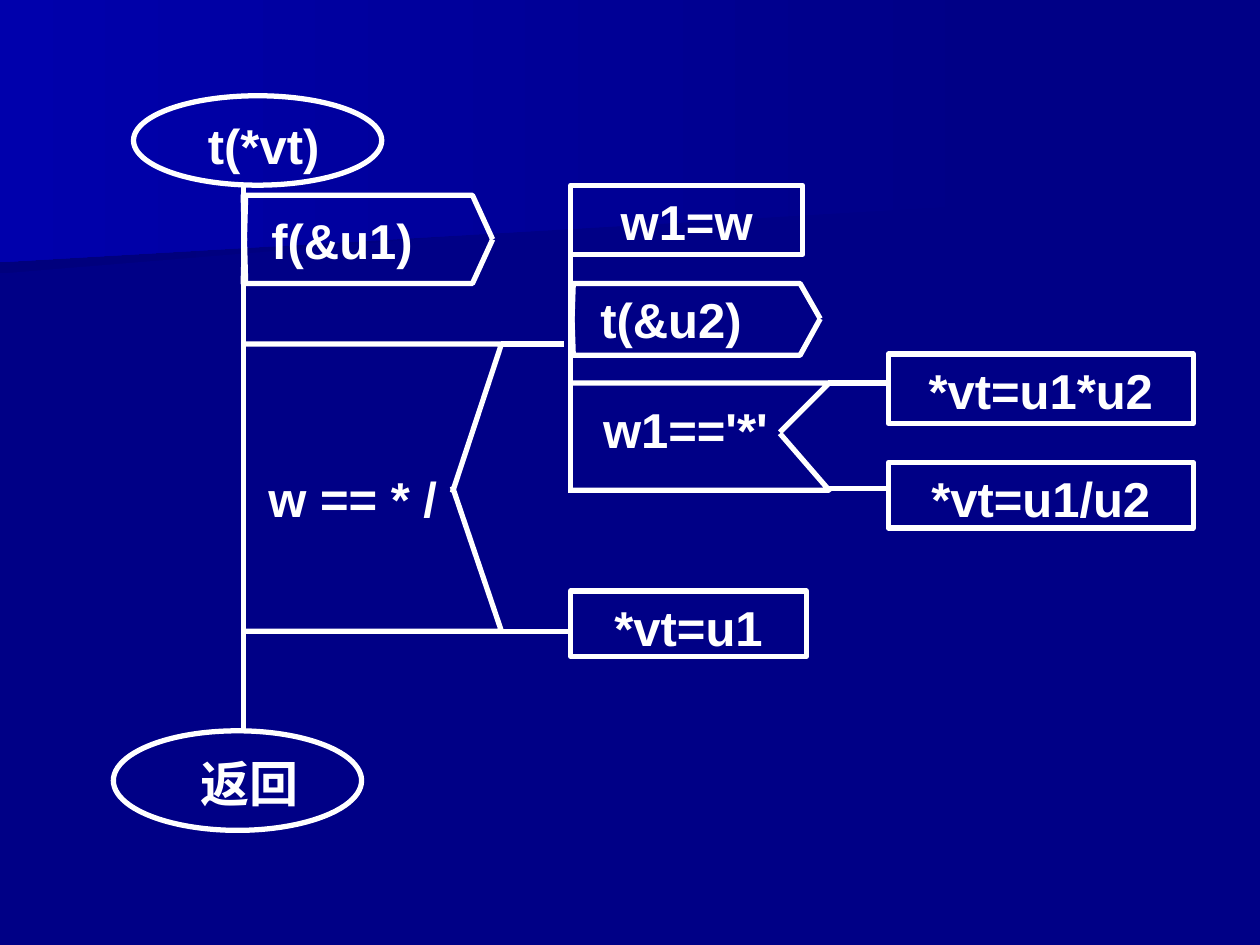
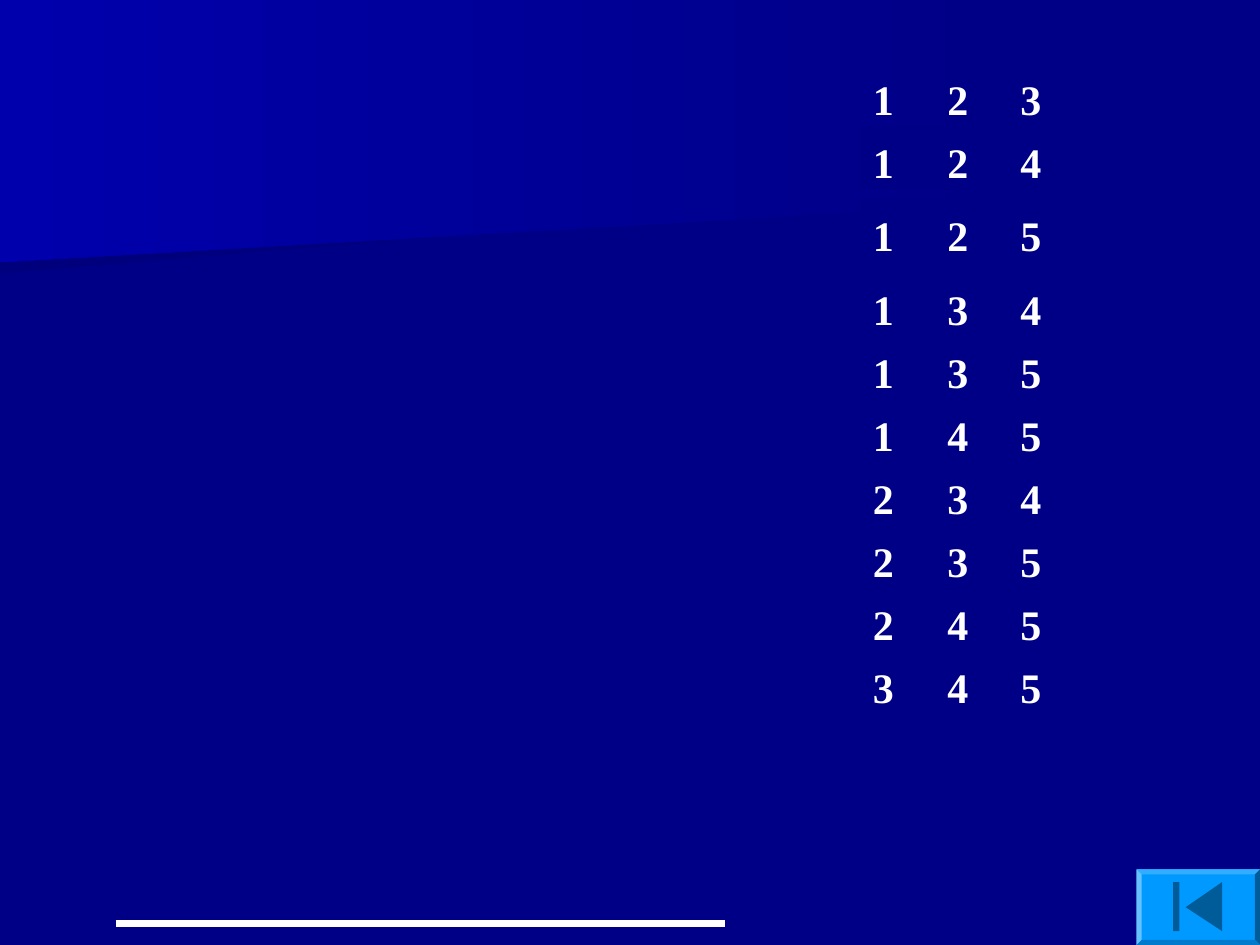
from dataclasses import dataclass
from itertools import combinations

from lxml import etree
from pptx import Presentation
from pptx import util as u
from pptx.dml.color import RGBColor
from pptx.enum import shapes, text
from pptx.oxml import ns

PX = 9144  # EMU per px, 100 px to the inch


@dataclass(frozen=True)
class Theme:
    back: str = "000086"
    shade: str = "00007D"
    glow: str = "0000AC"
    ink: str = "FFFFFF"
    face: str = "0099FF"
    top: str = "33ADFF"
    left: str = "66C2FF"
    dark: str = "005C99"
    base: str = "007ACC"
    code: str = "Arial"
    digit: str = "Times New Roman"
    big: int = 28
    mid: int = 24
    line: float = 3
    rule: float = 4


def rgb(code):
    return RGBColor.from_string(code)


def write(shape, words, font, size, color, align="LEFT", inset=(1, 1, 1, 1)):
    """Put bold text at the top of a shape; inset is left, top, right, bottom."""
    frame = shape.text_frame
    frame.word_wrap = True
    frame.vertical_anchor = text.MSO_ANCHOR.TOP
    (frame.margin_left, frame.margin_top,
     frame.margin_right, frame.margin_bottom) = (n * PX for n in inset)
    para = frame.paragraphs[0]
    para.alignment = getattr(text.PP_ALIGN, align)
    run = para.add_run()
    run.text = words
    run.font.name, run.font.size, run.font.bold = font, u.Pt(size), True
    run.font.color.rgb = rgb(color)


class Deck:
    def __init__(self, theme):
        self.look = theme
        self.prs = Presentation()
        self.prs.slide_width, self.prs.slide_height = 1000 * PX, 750 * PX
        self.slide = None

    def page(self):
        self.slide = self.prs.slides.add_slide(self.prs.slide_layouts[6])

    def paint(self, shape, fill=None, line=None):
        shape.shadow.inherit = False
        if fill:
            shape.fill.solid()
            shape.fill.fore_color.rgb = rgb(fill)
        else:
            shape.fill.background()
        if line:
            shape.line.color.rgb = rgb(line)
            shape.line.width = u.Pt(self.look.line)
        else:
            shape.line.fill.background()
        return shape

    def box(self, kind, at, **style):
        kind = getattr(shapes.MSO_SHAPE, kind)
        shape = self.slide.shapes.add_shape(kind, *(n * PX for n in at))
        return self.paint(shape, **style)

    def label(self, words, at, align="CENTER", pad=1):
        shape = self.slide.shapes.add_textbox(*(n * PX for n in at))
        self.code(shape, words, align, pad)

    def code(self, shape, words, align="CENTER", pad=1):
        look = self.look
        write(shape, words, look.code, look.big, look.ink, align, (pad, 5, 1, 1))

    def line(self, x1, y1, x2, y2, width=None):
        ends = (n * PX for n in (x1, y1, x2, y2))
        line = self.slide.shapes.add_connector(shapes.MSO_CONNECTOR.STRAIGHT, *ends)
        line.line.color.rgb = rgb(self.look.ink)
        line.line.width = u.Pt(width or self.look.line)
        etree.SubElement(line.element.spPr, ns.qn("a:effectLst"))

    def free(self, points, close=False, **style):
        pen = self.slide.shapes.build_freeform(*points[0], scale=PX)
        pen.add_line_segments(points[1:], close=close)
        return self.paint(pen.convert_to_shape(), **style)

    def ground(self):
        """Give the master its background and the two gradient bands."""
        look, master = self.look, self.prs.slide_master
        master.background.fill.solid()
        master.background.fill.fore_color.rgb = rgb(look.back)
        bands = (
            ([(778, 153), (0, 217), (0, 101), (779, 101), (778, 128)], look.shade),
            ([(792, 162), (0, 208), (0, 0), (792, 0)], look.glow),
        )
        for rank, (points, end) in enumerate(bands):
            band = self.free(points, close=True)
            band.fill.gradient()
            band.fill.gradient_angle = 180
            for stop, color in zip(band.fill.gradient_stops, (look.back, end)):
                stop.color.rgb = rgb(color)
            for stop, place in zip(band.fill.gradient_stops, (0, 1)):
                stop.position = place
            band.element.nvSpPr.cNvPr.set("id", str(50 + rank))
            master.shapes.element.insert(2 + rank, band.element)

    def fork(self, left, *halves):
        """Draw a branch box; each half is its edge and the notch height."""
        for edge, notch in halves:
            points = [(left, edge), (left + 205, edge), (left + 166, notch)]
            self.free(points, line=self.look.ink)

    def flag(self, left, top, bottom):
        """Draw a call box with its point to the right."""
        tip = (top + bottom) // 2
        for edge, end in ((top, bottom), (bottom, top)):
            points = [(left + 2, end), (left, edge),
                      (left + 182, edge), (left + 198, tip)]
            self.free(points, line=self.look.ink)

    def button(self, x1, y1, x2, y2, rim=4):
        """Draw a bevelled button that points back to the start."""
        look = self.look
        outer = [(x1, y1), (x2, y1), (x2, y2), (x1, y2)]
        inner = [(x1 + rim, y1 + rim), (x2 - rim, y1 + rim),
                 (x2 - rim, y2 - rim), (x1 + rim, y2 - rim)]
        self.free(outer, close=True, fill=look.face)
        for i, color in enumerate((look.top, look.dark, look.base, look.left)):
            j = (i + 1) % 4
            side = [outer[i], outer[j], inner[j], inner[i]]
            self.free(side, close=True, fill=color)
        self.free([(941, 720), (970, 700), (970, 739)], close=True, fill=look.dark)
        self.box("RECTANGLE", (931, 700, 5, 39), fill=look.dark)


def chart(deck):
    """Flow of the term function."""
    ink = deck.look.ink
    # Start and end
    for at in ((106, 76, 197, 71), (90, 580, 197, 79)):
        deck.box("OVAL", at, line=ink)
    deck.label("t(*vt)", (142, 87, 155, 56), "LEFT", 23)
    deck.label("返回", (126, 593, 155, 62), "LEFT", 33)
    # Labels of calls and tests
    for words, at in (
        ("f(&u1)", (193, 162, 157, 62)),
        ("w == * /", (201, 367, 158, 58)),
        ("t(&u2)", (453, 225, 159, 52)),
        ("w1=='*'", (469, 312, 150, 59)),
    ):
        deck.label(words, at)
    # Steps
    for words, at in (
        ("w1=w", (453, 147, 184, 55)),
        ("*vt=u1*u2", (705, 281, 242, 55)),
        ("*vt=u1/u2", (705, 367, 242, 52)),
        ("*vt=u1", (453, 469, 187, 52)),
    ):
        deck.code(deck.box("RECTANGLE", at, line=ink), words)
    # Stems and branches
    for ends in (
        (193, 147, 193, 580), (453, 147, 453, 391),
        (398, 273, 448, 273), (398, 501, 453, 501),
        (657, 304, 705, 304), (657, 388, 706, 388),
    ):
        deck.line(*ends)
    deck.fork(193, (273, 391), (501, 386))
    deck.fork(453, (304, 343), (389, 344))
    deck.flag(193, 155, 225)
    deck.flag(453, 225, 282)


def table(deck):
    """Every choice of three from five, one row each."""
    look = deck.look
    tops = (50, 100, 158, *range(217, 568, 50))
    for top, trio in zip(tops, combinations(range(1, 6), 3)):
        for left, digit in zip((683, 742, 800), trio):
            fill = look.back if top > tops[0] else None
            cell = deck.box("RECTANGLE", (left, top, 58, 50), fill=fill)
            write(cell, str(digit), look.digit, look.mid, look.ink,
                  inset=(10, 8, 10, 5))
    deck.line(92, 733, 575, 733, look.rule)
    deck.button(902, 690, 1000, 750)


def main():
    deck = Deck(Theme())
    for rank, draw in enumerate((chart, table)):
        deck.page()
        if rank == 0:
            deck.ground()
        draw(deck)
    deck.prs.save("out.pptx")


if __name__ == "__main__":
    main()
